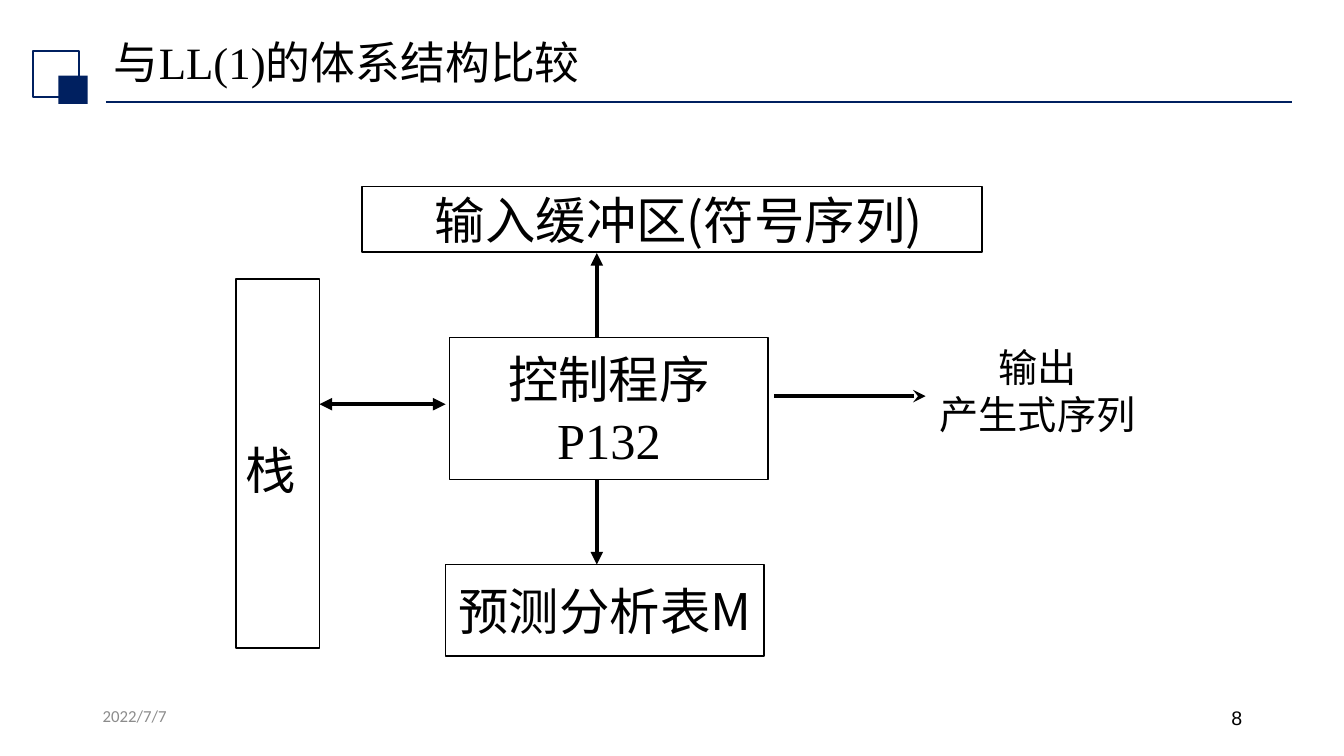
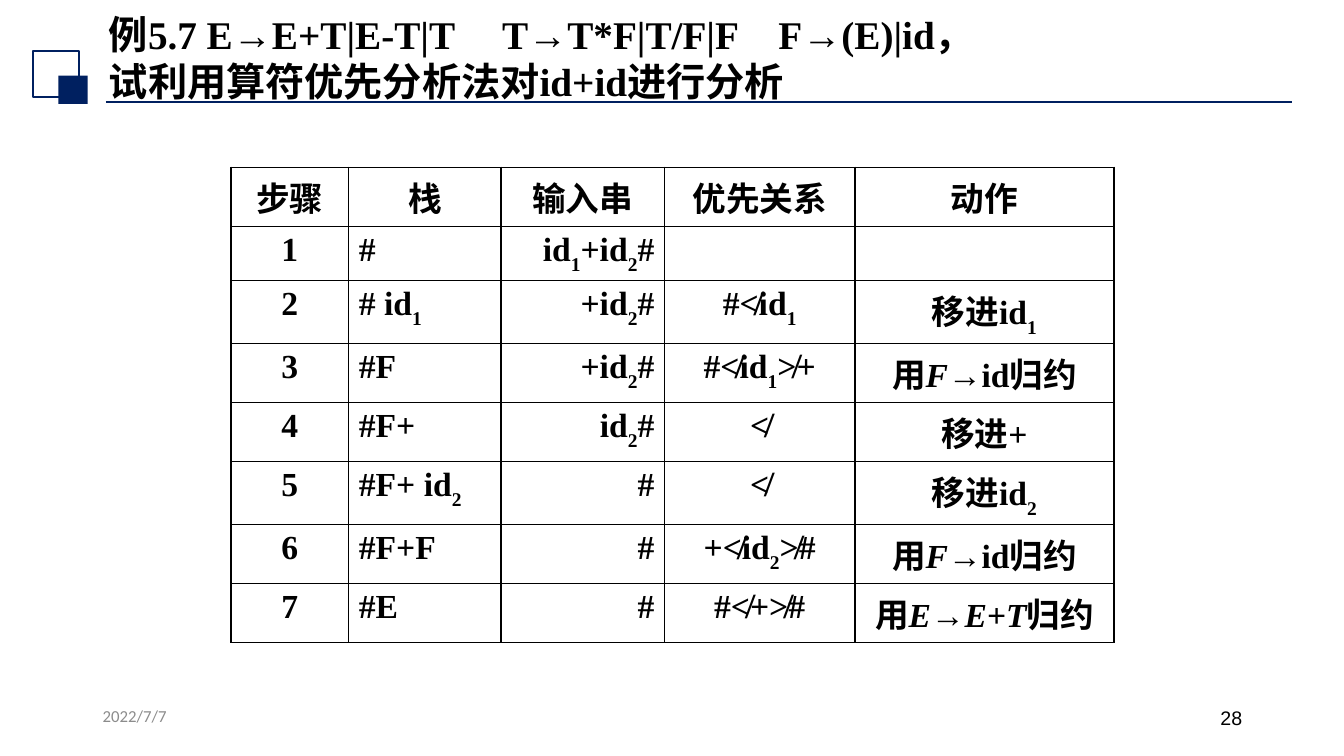
"""Build two slides on parser architecture and operator-precedence analysis."""
from dataclasses import dataclass
from typing import Optional

from lxml import etree
from pptx import Presentation
from pptx.dml.color import RGBColor
from pptx.enum import shapes, text
from pptx.oxml import ns
from pptx.util import Inches, Pt

NAVY, BLACK, GRAY = "002060", "000000", "8C8C8C"
SERIF, SANS = "Times New Roman", "Noto Sans CJK SC"
LEFT, CENTER, RIGHT = text.PP_ALIGN.LEFT, text.PP_ALIGN.CENTER, text.PP_ALIGN.RIGHT
TOP, MIDDLE = text.MSO_ANCHOR.TOP, text.MSO_ANCHOR.MIDDLE


@dataclass
class Line:
    """One paragraph with its own font."""
    words: str
    size: float = 36
    font: str = SANS
    color: str = BLACK
    align: int = CENTER
    bold: bool = False
    spacing: float = 1.0
    tabs: tuple = ()


@dataclass
class Box:
    """An outlined box of the diagram."""
    at: tuple
    lines: list
    left_inset: float = 0.1


@dataclass
class Arrow:
    """A straight arrow with optional heads at both ends."""
    start: tuple
    end: tuple
    tail: str = "triangle"
    head: Optional[str] = None


BOXES = [
    Box((3.59, 1.85, 6.15, 0.65), [Line("输入缓冲区(符号序列)")], 0.23),
    Box((2.34, 2.77, 0.83, 3.66), [Line("栈", align=LEFT, spacing=1.2)]),
    Box((4.46, 3.35, 3.16, 1.41), [Line("控制程序"), Line("P132", font=SERIF)]),
    Box((4.42, 5.6, 3.16, 0.91), [Line("预测分析表M")]),
]
ARROWS = [
    Arrow((5.92, 3.35), (5.92, 2.51)),
    Arrow((4.42, 4.01), (3.17, 4.01), head="triangle"),
    Arrow((5.92, 4.76), (5.92, 5.6)),
    Arrow((7.68, 3.93), (9.18, 3.93), tail="stealth"),
]
COLUMNS = [1.17, 1.51, 1.62, 1.89, 2.57]
ALIGNS = [CENTER, LEFT, RIGHT, CENTER, CENTER]
HEADER = ["步骤", "栈", "输入串", "优先关系", "动作"]
STEPS = [
    ["#", "id|_1|+id|_2|#", "", ""],
    ["# id|_1", "+id|_2|#", "#≮id|_1", "移进id|_1"],
    ["#F", "+id|_2|#", "#≮id|_1|≯+", "用|/F|→id归约"],
    ["#F+", "id|_2|#", "≮", "移进+"],
    ["#F+ id|_2", "#", "≮", "移进id|_2"],
    ["#F+F", "#", "+≮id|_2|≯#", "用|/F|→id归约"],
    ["#E", "#", "#≮+≯#", "用|/E|→|/E|+|/T|归约"],
]


def rgb(value: str) -> RGBColor:
    """Turn a hex string into a colour."""
    return RGBColor.from_string(value)


def inches(values: tuple) -> list:
    """Turn numbers into lengths."""
    return [Inches(v) for v in values]


def add_child(parent, tag: str, **attrs):
    """Append a drawing element."""
    child = etree.SubElement(parent, ns.qn(tag))
    for name, value in attrs.items():
        child.set(name, value)
    return child


def style(p, line: Line) -> None:
    """Apply alignment, spacing, tabs and font to a paragraph."""
    p.alignment = line.align
    p.line_spacing = line.spacing
    if line.tabs:
        stops = add_child(p._p.get_or_add_pPr(), "a:tabLst")
        for stop in line.tabs:
            add_child(stops, "a:tab", pos=str(Inches(stop)), algn="l")
    f = p.font
    f.size, f.name, f.bold = Pt(line.size), line.font, line.bold
    f.color.rgb = rgb(line.color)


def write(tf, lines: list, anchor=TOP, wrap: bool = True) -> None:
    """Fill a text frame with paragraphs."""
    tf.word_wrap = wrap
    tf.auto_size = text.MSO_AUTO_SIZE.NONE
    tf.vertical_anchor = anchor
    for i, line in enumerate(lines):
        p = tf.add_paragraph() if i else tf.paragraphs[0]
        style(p, line)
        p.add_run().text = line.words


def add_text(s, at: tuple, lines: list) -> None:
    """Add a plain text box."""
    write(s.shapes.add_textbox(*inches(at)).text_frame, lines)


def add_rect(s, at: tuple, line: Optional[str] = None, width: float = 1,
             fill: Optional[str] = None):
    """Add a rectangle with an outline or a fill."""
    sp = s.shapes.add_shape(shapes.MSO_SHAPE.RECTANGLE, *inches(at))
    sp.shadow.inherit = False
    if fill:
        sp.fill.solid()
        sp.fill.fore_color.rgb = rgb(fill)
    else:
        sp.fill.background()
    if line:
        sp.line.color.rgb = rgb(line)
        sp.line.width = Pt(width)
    else:
        sp.line.fill.background()
    return sp


def add_line(s, arrow: Arrow, color: str, width: float) -> None:
    """Add a straight connector with its arrowheads."""
    c = s.shapes.add_connector(shapes.MSO_CONNECTOR.STRAIGHT,
                               *inches(arrow.start + arrow.end))
    c.line.color.rgb = rgb(color)
    c.line.width = Pt(width)
    props = c.element.spPr
    for tag, kind in (("a:headEnd", arrow.head), ("a:tailEnd", arrow.tail)):
        if kind:
            add_child(props.find(ns.qn("a:ln")), tag, type=kind)
    add_child(props, "a:effectLst")


def add_slide(prs, number: str, title_at: tuple, title: list, anchor):
    """Add a slide with the shared rule, emblem, footer and title."""
    s = prs.slides.add_slide(prs.slide_layouts[5])
    add_line(s, Arrow((1.05, 1.01), (12.81, 1.01), tail=""), NAVY, 1.25)
    add_rect(s, (0.33, 0.51, 0.45, 0.45), NAVY, 1.5)
    add_rect(s, (0.58, 0.75, 0.29, 0.28), fill=NAVY)
    sp = s.shapes.title
    sp.left, sp.top, sp.width, sp.height = inches(title_at)
    write(sp.text_frame, title, anchor)
    add_text(s, (0.92, 6.95, 3, 0.4), [Line("2022/7/7", 12, "Calibri", GRAY, LEFT)])
    add_text(s, (9.42, 6.95, 3, 0.4), [Line(number, 14, "Arial", align=RIGHT)])
    return s


def add_cell(cell, markup: str, align) -> None:
    """Fill a cell; pieces led by _ are subscripts, by / italics."""
    p = cell.text_frame.paragraphs[0]
    style(p, Line("", 24, SERIF, align=align, bold=True))
    for piece in filter(None, markup.split("|")):
        r = p.add_run()
        r.text = piece.lstrip("_/")
        if piece.startswith("_"):
            r._r.get_or_add_rPr().set("baseline", "-30000")
        elif piece.startswith("/"):
            r.font.italic = True
    props = cell._tc.get_or_add_tcPr()
    for side in "LRTB":
        ln = add_child(props, f"a:ln{side}", w=str(Pt(1)))
        add_child(add_child(ln, "a:solidFill"), "a:srgbClr", val=BLACK)
    cell.fill.background()


def build_architecture(prs) -> None:
    """Draw the parser architecture diagram."""
    title = Line("与LL(1)的体系结构比较", 32, SERIF, align=LEFT, spacing=0.9)
    s = add_slide(prs, "8", (1.03, 0.34, 11.5, 0.61), [title], MIDDLE)
    for box in BOXES:
        tf = add_rect(s, box.at, BLACK).text_frame
        tf.margin_left = Inches(box.left_inset)
        write(tf, box.lines, MIDDLE, wrap=False)
    for arrow in ARROWS:
        add_line(s, arrow, BLACK, 3)
    add_text(s, (9.11, 3.36, 2.36, 1.03), [Line("输出", 28), Line("产生式序列", 28)])


def build_analysis(prs) -> None:
    """Draw the table of analysis steps."""
    title = [Line(words, 28, SERIF, align=LEFT, bold=True, tabs=tabs) for words, tabs in (
        ("例5.7 E→E+T|E-T|T\tT→T*F|T/F|F\tF→(E)|id，", (3.9, 6.64)),
        ("试利用算符优先分析法对id+id进行分析", ()))]
    s = add_slide(prs, "28", (0.98, 0.05, 8.94, 1.03), title, TOP)
    rows = [HEADER] + [[str(i), *step] for i, step in enumerate(STEPS, 1)]
    table = s.shapes.add_table(len(rows), len(COLUMNS),
                               *inches((2.29, 1.66, sum(COLUMNS), 4.59))).table
    table.first_row = table.horz_banding = False
    for column, width in zip(table.columns, COLUMNS):
        column.width = Inches(width)
    for i, row in enumerate(rows):
        table.rows[i].height = Inches(0.52 if i == 1 else 0.58)
        for j, markup in enumerate(row):
            add_cell(table.cell(i, j), markup, ALIGNS[j] if i else CENTER)


def main() -> None:
    """Build and save the presentation."""
    prs = Presentation()
    prs.slide_width, prs.slide_height = inches((13.33, 7.5))
    build_architecture(prs)
    build_analysis(prs)
    prs.save("out.pptx")


if __name__ == "__main__":
    main()
